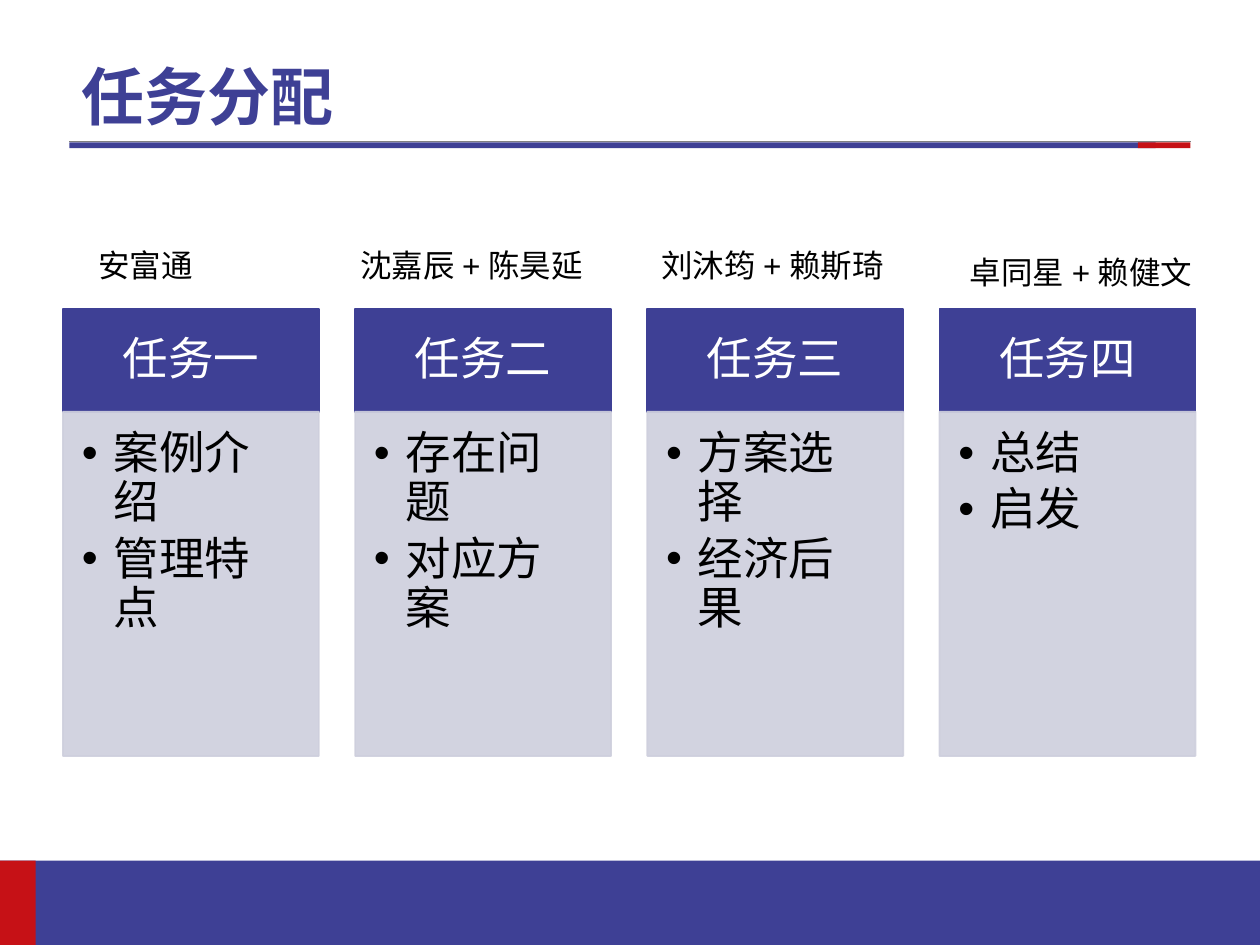
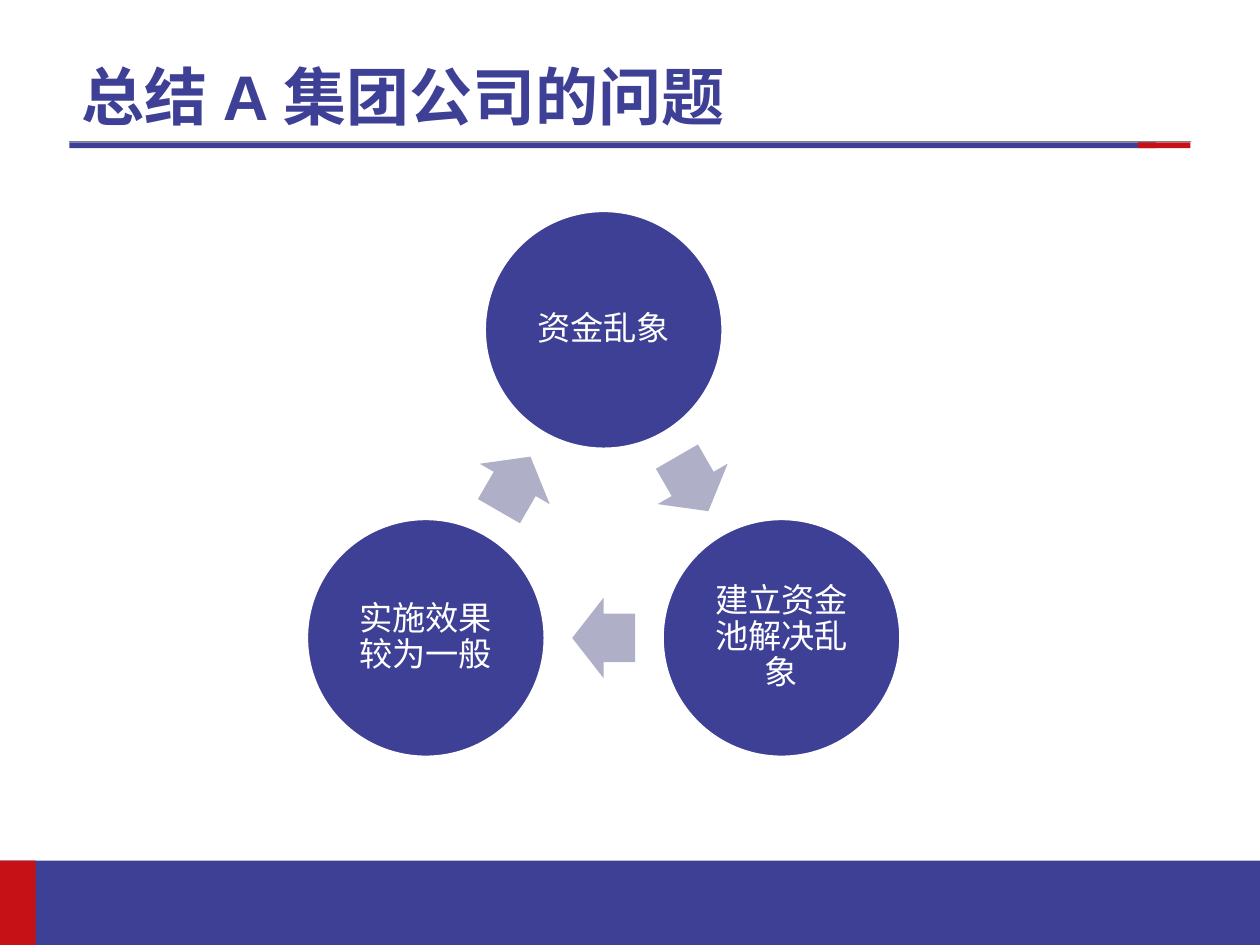
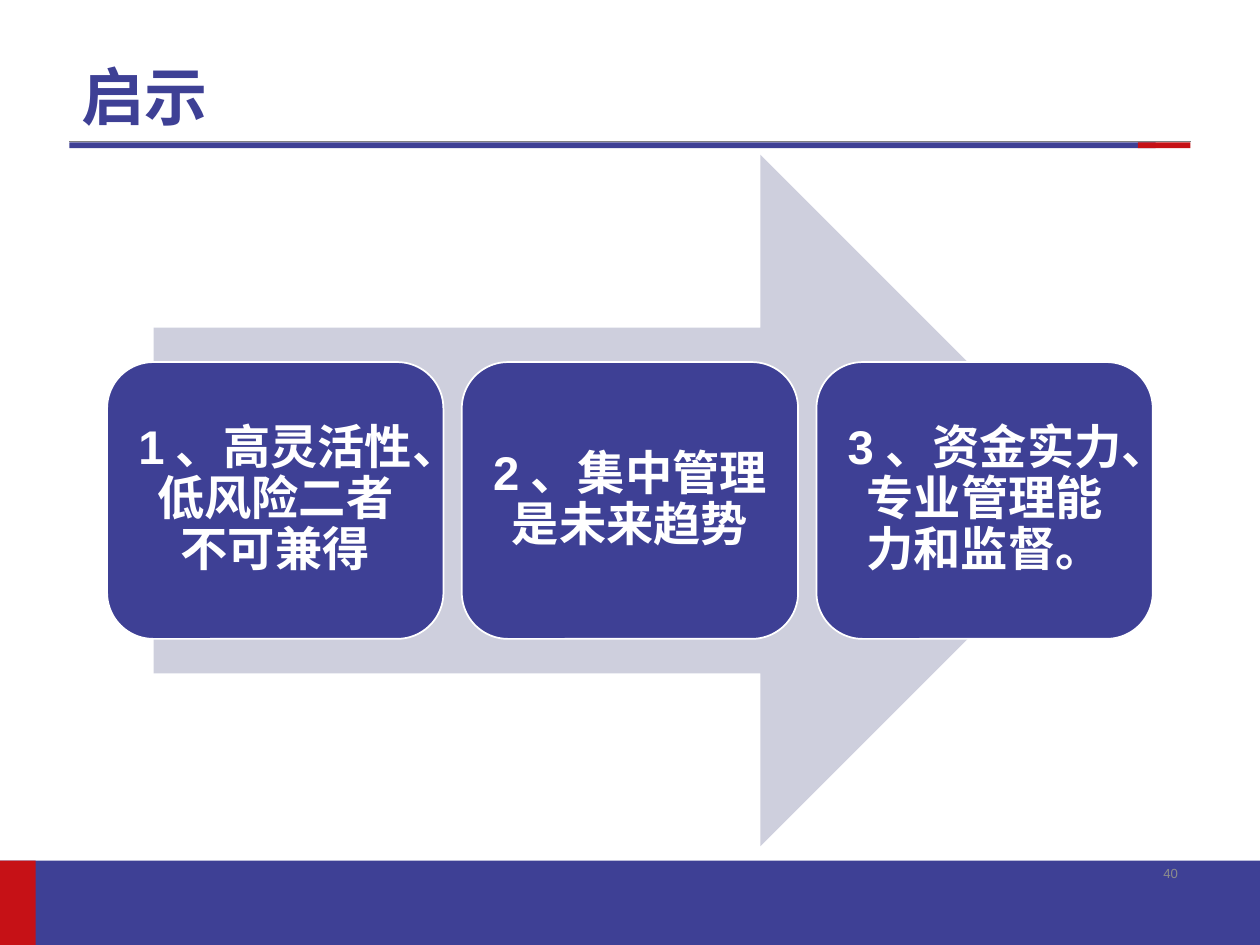
from math import cos, radians, sin

from lxml.etree import SubElement
from pptx import Presentation
from pptx.dml.color import RGBColor
from pptx.enum.lang import MSO_LANGUAGE_ID as Lang
from pptx.enum.shapes import MSO_CONNECTOR as Connector, MSO_SHAPE as Shape
from pptx.enum.text import MSO_ANCHOR as Anchor, MSO_AUTO_SIZE as AutoSize, PP_ALIGN as Align
from pptx.oxml.ns import qn
from pptx.util import Cm, Pt

BLUE, RED, WHITE, BLACK = "3E4095", "C61116", "FFFFFF", "000000"
PALE, ARROW_GREY, LINE_GREY, NUMBER_GREY = "CECFDD", "AFB0C8", "808080", "8C8C8C"
FONT = "Arial"

TASKS = [
    ("任务一", ["案例介绍", "管理特点"]),
    ("任务二", ["存在问题", "对应方案"]),
    ("任务三", ["方案选择", "经济后果"]),
    ("任务四", ["总结", "启发"]),
]
MEMBERS = [
    ("安富通", 1.73, 4.83),
    ("沈嘉辰+陈昊延", 7.01, 4.83),
    ("刘沐筠+赖斯琦", 13.08, 4.83),
    ("卓同星+赖健文", 19.3, 4.98),
]
PROBLEMS = ["资金乱象", "建立资金池解决乱象", "实施效果较为一般"]
LESSONS = ["1、高灵活性、低风险二者不可兼得", "2、集中管理是未来趋势", "3、资金实力、专业管理能力和监督。"]


def paint(color_format, color):
    """Set a colour format from a hex string."""
    color_format.rgb = RGBColor.from_string(color)


def set_alpha(shape, percent):
    """Make the fill and the line of a shape partly transparent."""
    for color in shape._element.spPr.iter(qn("a:srgbClr")):
        SubElement(color, qn("a:alpha"), val=str(percent * 1000))


def add_bullet(para):
    """Give a paragraph a round bullet and a hanging indent."""
    properties = para._p.get_or_add_pPr()
    properties.set("marL", str(Cm(0.64)))
    properties.set("indent", str(-Cm(0.64)))
    SubElement(properties, qn("a:buFont"), typeface=FONT)
    SubElement(properties, qn("a:buChar"), char="•")


def write(shape, lines, size, color, bold=False, align=Align.LEFT, anchor=Anchor.MIDDLE,
          insets=(0.25, 0.13, 0.25, 0.13), spacing=0.9, bullets=False):
    """Fill a shape with one paragraph for each line."""
    frame = shape.text_frame
    frame.word_wrap = True
    frame.auto_size = AutoSize.NONE
    frame.vertical_anchor = anchor
    frame.margin_left, frame.margin_top, frame.margin_right, frame.margin_bottom = map(Cm, insets)
    for index, line in enumerate(lines):
        para = frame.add_paragraph() if index else frame.paragraphs[0]
        para.alignment = align
        para.line_spacing = spacing
        para.space_before = Pt(0)
        para.space_after = Pt(4 if bullets else 0)
        if bullets:
            add_bullet(para)
        span = para.add_run()
        span.text = line
        span.font.name = FONT
        span.font.size = Pt(size)
        span.font.bold = bold
        span.font.language_id = Lang.SIMPLIFIED_CHINESE
        paint(span.font.color, color)


def add_block(page, kind, left, top, width, height, fill, line=None):
    """Add a filled preset shape with an optional thin outline."""
    block = page.shapes.add_shape(kind, Cm(left), Cm(top), Cm(width), Cm(height))
    block.shadow.inherit = False
    block.fill.solid()
    paint(block.fill.fore_color, fill)
    if line:
        paint(block.line.color, line)
        block.line.width = Pt(1)
    else:
        block.line.fill.background()
    return block


def add_label(page, left, top, width, height, text, size, color, **style):
    """Add a text box with a single line."""
    box = page.shapes.add_textbox(Cm(left), Cm(top), Cm(width), Cm(height))
    write(box, [text], size, color, spacing=1, **style)


def add_page(deck, title):
    """Add a slide with its title, title rule and footer band."""
    page = deck.slides.add_slide(deck.slide_layouts[5])
    hairline = page.shapes.add_connector(Connector.STRAIGHT, Cm(1.4), Cm(2.84), Cm(24), Cm(2.84))
    paint(hairline.line.color, LINE_GREY)
    hairline.line.width = Pt(0.25)
    SubElement(hairline._element.spPr, qn("a:effectLst"))
    for left, top, width, height, color in [
        (0, 17.35, 25.4, 1.7, BLUE),
        (0, 17.35, 0.72, 1.7, RED),
        (1.4, 2.87, 21.9, 0.12, BLUE),
        (22.94, 2.87, 1.06, 0.12, RED),
    ]:
        add_block(page, Shape.RECTANGLE, left, top, width, height, color)
    heading = page.shapes.title
    heading.left, heading.top, heading.width, heading.height = Cm(1.4), Cm(0), Cm(22.6), Cm(2.84)
    write(heading, [title], 36, BLUE, bold=True, anchor=Anchor.BOTTOM)
    return page


def add_task_card(page, left, name, topics):
    """Add a task header above its list of topics."""
    header = add_block(page, Shape.RECTANGLE, left, 6.23, 5.16, 2.07, BLUE, BLUE)
    write(header, [name], 26, WHITE, align=Align.CENTER, insets=(0.5, 0.3, 0.5, 0.3))
    body = add_block(page, Shape.RECTANGLE, left, 8.3, 5.16, 6.94, PALE, PALE)
    set_alpha(body, 90)
    write(body, topics, 26, BLACK, anchor=Anchor.TOP, insets=(0.38, 0.38, 0.5, 0.58), bullets=True)


def add_cycle(page, labels, center_x, center_y, radius):
    """Add circles around a centre, with an arrow from each to the next."""
    step = 360 / len(labels)
    diameter, arrow_width, arrow_height = 4.78, 1.27, 1.63
    arrow_radius = radius * cos(radians(step / 2))
    for index, label in enumerate(labels):
        angle = radians(index * step - 90)
        circle = add_block(page, Shape.OVAL, center_x + radius * cos(angle) - diameter / 2,
                           center_y + radius * sin(angle) - diameter / 2,
                           diameter, diameter, BLUE, WHITE)
        write(circle, [label], 19, WHITE, align=Align.CENTER, insets=(0.08,) * 4)
        middle = angle + radians(step / 2)
        arrow = add_block(page, Shape.RIGHT_ARROW,
                          center_x + arrow_radius * cos(middle) - arrow_width / 2,
                          center_y + arrow_radius * sin(middle) - arrow_height / 2,
                          arrow_width, arrow_height, ARROW_GREY)
        arrow.adjustments[0] = 0.6
        arrow.rotation = (index + 0.5) * step


def add_lessons(page, lessons):
    """Add a wide arrow with a row of lesson cards across it."""
    add_block(page, Shape.RIGHT_ARROW, 3.1, 3.12, 19.2, 13.94, PALE)
    for index, lesson in enumerate(lessons):
        card = add_block(page, Shape.ROUNDED_RECTANGLE, 2.16 + index * 7.15, 7.3, 6.78, 5.58, BLUE, WHITE)
        write(card, [lesson], 27, WHITE, bold=True, align=Align.CENTER, insets=(0.28,) * 4)


def main():
    """Build and save the deck."""
    deck = Presentation()
    deck.slide_width, deck.slide_height = Cm(25.4), Cm(19.05)

    page = add_page(deck, "任务分配")
    for index, (name, topics) in enumerate(TASKS):
        add_task_card(page, 1.27 + index * 5.89, name, topics)
    for members, left, top in MEMBERS:
        add_label(page, left, top, 5.28, 1.02, members, 18, BLACK, anchor=Anchor.TOP)

    page = add_page(deck, "总结A集团公司的问题")
    add_cycle(page, PROBLEMS, 12.17, 10.79, 4.14)

    page = add_page(deck, "启示")
    add_lessons(page, LESSONS)
    add_label(page, 17.93, 17.32, 6.07, 0.58, "40", 7.5, NUMBER_GREY, align=Align.RIGHT)

    deck.save("out.pptx")


if __name__ == "__main__":
    main()
